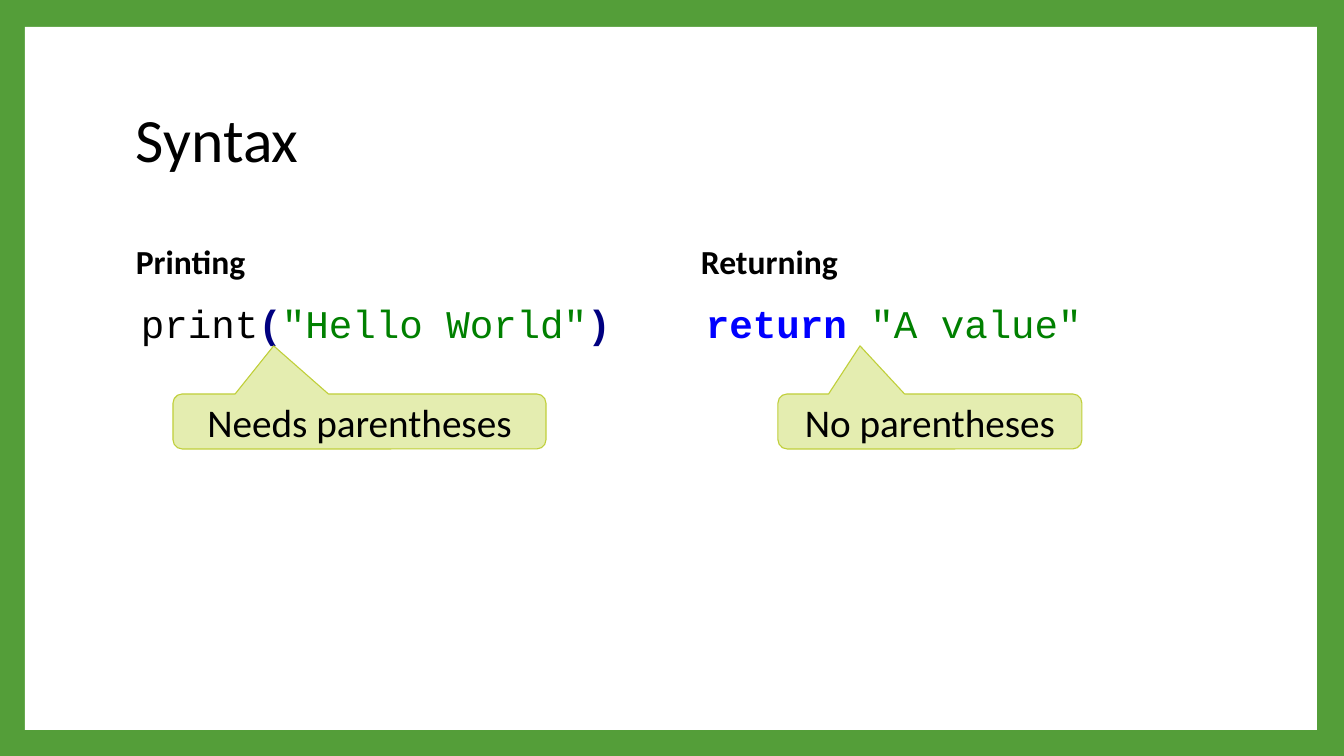
from dataclasses import dataclass

from pptx import Presentation
from pptx import util as u
from pptx.dml.color import RGBColor
from pptx.enum import shapes, text


@dataclass(frozen=True)
class Theme:
    frame: str = "549E39"
    panel: str = "FFFFFF"
    ink: str = "000000"
    bracket: str = "000080"
    string: str = "008000"
    keyword: str = "0000FF"
    callout_fill: str = "E4EDB0"
    callout_line: str = "C0CF3A"
    body_font: str = "Calibri"
    code_font: str = "Courier New"
    title_size: int = 44
    heading_size: int = 24
    code_size: int = 28
    callout_size: int = 28


@dataclass(frozen=True)
class Span:
    words: str
    color: str
    bold: bool = False


@dataclass(frozen=True)
class Column:
    heading: str
    code: tuple[Span, ...]
    note: str
    note_left: int
    note_width: int


THEME = Theme()
EMU_PER_PX = 914400 / 100.8
PAGE_WIDTH, PAGE_HEIGHT = 1344, 756
LEFT, COLUMN_PITCH, COLUMN_WIDTH = 126, 565, 524

COLUMNS = (
    Column(
        "Printing",
        (
            Span("print", THEME.ink),
            Span("(", THEME.bracket, True),
            Span('"Hello World"', THEME.string),
            Span(")", THEME.bracket, True),
        ),
        "Needs parentheses", 173, 373,
    ),
    Column(
        "Returning",
        (Span("return ", THEME.keyword, True), Span('"A value"', THEME.string)),
        "No parentheses", 778, 304,
    ),
)


def px(length: int) -> u.Emu:
    return u.Emu(round(length * EMU_PER_PX))


def area(left: int, top: int, width: int, height: int) -> tuple[u.Emu, ...]:
    return px(left), px(top), px(width), px(height)


def write(box, spans: tuple[Span, ...], *, size: int, font: str = THEME.body_font,
          align=text.PP_ALIGN.LEFT, anchor=text.MSO_ANCHOR.MIDDLE,
          line_spacing: float = 0.9) -> None:
    frame = box.text_frame
    frame.word_wrap = True
    frame.vertical_anchor = anchor
    para = frame.paragraphs[0]
    para.alignment = align
    para.line_spacing = line_spacing
    for span in spans:
        run = para.add_run()
        run.text = span.words
        run.font.name = font
        run.font.size = u.Pt(size)
        run.font.bold = span.bold
        run.font.color.rgb = RGBColor.from_string(span.color)


def add_panel(page) -> None:
    panel = page.shapes.add_shape(shapes.MSO_SHAPE.RECTANGLE, *area(25, 27, 1292, 703))
    panel.shadow.inherit = False
    panel.fill.solid()
    panel.fill.fore_color.rgb = RGBColor.from_string(THEME.panel)
    panel.line.fill.background()


def add_callout(page, column: Column) -> None:
    callout = page.shapes.add_shape(
        shapes.MSO_SHAPE.ROUNDED_RECTANGULAR_CALLOUT,
        *area(column.note_left, 394, column.note_width, 55))
    for index, value in enumerate((-0.23, -1.375, 0.167)):
        callout.adjustments[index] = value
    callout.shadow.inherit = False
    callout.fill.solid()
    callout.fill.fore_color.rgb = RGBColor.from_string(THEME.callout_fill)
    callout.line.color.rgb = RGBColor.from_string(THEME.callout_line)
    callout.line.width = u.Pt(0.79)
    write(callout, (Span(column.note, THEME.ink),), size=THEME.callout_size,
          align=text.PP_ALIGN.CENTER, line_spacing=1.0)


def add_column(page, column: Column, left: int) -> None:
    heading = page.shapes.add_textbox(*area(left, 221, COLUMN_WIDTH, 85))
    write(heading, (Span(column.heading, THEME.ink, True),), size=THEME.heading_size)
    code = page.shapes.add_textbox(*area(left, 300, COLUMN_WIDTH, 373))
    code.text_frame.margin_left = px(15)
    write(code, column.code, size=THEME.code_size, font=THEME.code_font,
          anchor=text.MSO_ANCHOR.TOP)
    add_callout(page, column)


def main() -> None:
    deck = Presentation()
    deck.slide_width, deck.slide_height = px(PAGE_WIDTH), px(PAGE_HEIGHT)
    page = deck.slides.add_slide(deck.slide_layouts[6])
    page.background.fill.solid()
    page.background.fill.fore_color.rgb = RGBColor.from_string(THEME.frame)
    add_panel(page)
    title = page.shapes.add_textbox(*area(LEFT, 68, 1089, 149))
    write(title, (Span("Syntax", THEME.ink),), size=THEME.title_size)
    for index, column in enumerate(COLUMNS):
        add_column(page, column, LEFT + index * COLUMN_PITCH)
    deck.save("out.pptx")


if __name__ == "__main__":
    main()
